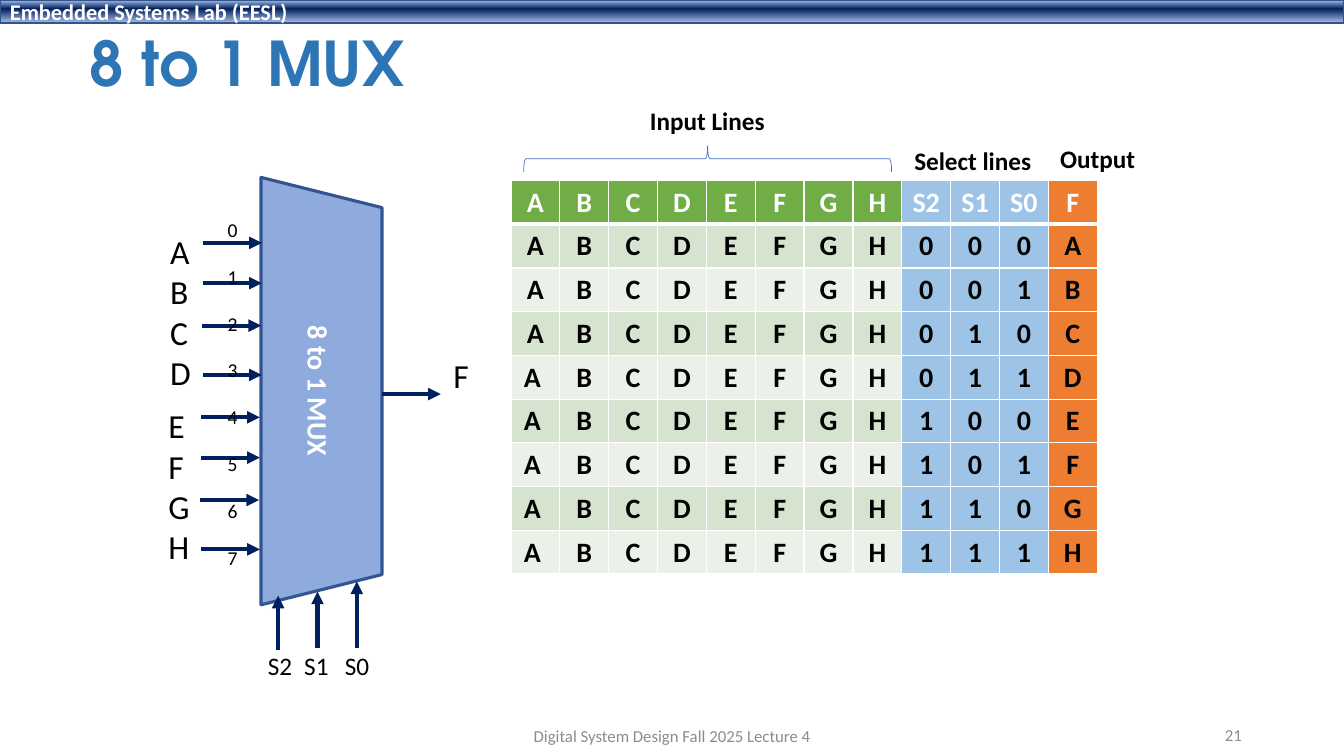
from pptx import Presentation
from pptx.dml.color import RGBColor
from pptx.enum.shapes import MSO_CONNECTOR as Connector, MSO_SHAPE as Shape
from pptx.enum.text import MSO_ANCHOR as Anchor, MSO_AUTO_SIZE as AutoSize, PP_ALIGN as Align
from pptx.oxml import parse_xml
from pptx.oxml.ns import nsdecls, qn
from pptx.util import Pt

# Content
HEADER = "Embedded Systems Lab (EESL)"
TITLE = "8 to 1 MUX"
FOOTER = "Digital System Design Fall 2025 Lecture 4"
PAGE_NUMBER = "21"
INPUTS = list("ABCDEFGH")
SELECTS = ["S2", "S1", "S0"]
OUTPUT = "F"

# Text, left, top, width, height
HEADINGS = [
    ("Input Lines", 457.2, 72, 97.2, 28.8),
    ("Select lines", 646, 100, 98.6, 28.8),
    ("Output", 750.2, 98.6, 68.4, 28.8),
]
# Arrow start points of the upper four inputs
INPUT_ARROWS = [(145, 173.5), (145, 202.3), (144.5, 232.6), (145, 267.8)]
ARROW_LENGTH = 42
LOWER_SHIFT = (-1.4, 124.6)
# Arrow x, start y, end y and label centre for each select line
SELECT_ARROWS = [(198.7, 464.4, 425.5, 200), (226.8, 463, 422.6, 226), (254.9, 463, 415.4, 255)]


class Theme:
    font, title_font = "Calibri", "TeX Gyre Adventor"
    black, white, gray = "000000", "FFFFFF", "8C8C8C"
    title, navy, edge = "2E75B6", "002060", "325491"
    mux, brace = "8FAADC", "4472C4"
    green, select, output = "70AD47", "9DC3E6", "ED7D31"
    bands = ("D5E3CF", "EBF1E9")
    bar_stops = ((0, "ABC0E4"), (38, "002060"), (100, "ACC1E5"))
    title_size, letter_size, table_size = 44, 24, 20
    label_size, header_size, digit_size, footer_size = 18, 16, 14, 12


deck = Presentation()
deck.slide_width, deck.slide_height = Pt(960), Pt(540)
page = deck.slides.add_slide(deck.slide_layouts[6])


def color(code):
    return RGBColor.from_string(code)


def write(frame, text, size, ink=Theme.black, bold=False, align=Align.LEFT, font=Theme.font):
    frame.text = text
    for para in frame.paragraphs:
        para.alignment = align
        for span in para.runs:
            span.font.name, span.font.size, span.font.bold = font, Pt(size), bold
            span.font.color.rgb = color(ink)


def add_text(text, left, top, width, height, size, fit=True, **style):
    box = page.shapes.add_textbox(Pt(left), Pt(top), Pt(width), Pt(height))
    frame = box.text_frame
    write(frame, text, size, **style)
    frame.word_wrap = False
    if fit:
        frame.auto_size = AutoSize.SHAPE_TO_FIT_TEXT
    else:
        frame.vertical_anchor = Anchor.MIDDLE
    return frame


def add_figure(kind, left, top, width, height, line, weight, fill=None):
    figure = page.shapes.add_shape(kind, Pt(left), Pt(top), Pt(width), Pt(height))
    figure.shadow.inherit = False
    figure.line.color.rgb, figure.line.width = color(line), Pt(weight)
    if fill:
        figure.fill.solid()
        figure.fill.fore_color.rgb = color(fill)
    else:
        figure.fill.background()
    figure.text_frame.vertical_anchor = Anchor.MIDDLE
    return figure


def add_arrow(x1, y1, x2, y2):
    arrow = page.shapes.add_connector(Connector.STRAIGHT, Pt(x1), Pt(y1), Pt(x2), Pt(y2))
    arrow.line.color.rgb, arrow.line.width = color(Theme.navy), Pt(3)
    arrow.line._get_or_add_ln().append(parse_xml(f'<a:tailEnd {nsdecls("a")} type="triangle"/>'))
    arrow._element.spPr.append(parse_xml(f'<a:effectLst {nsdecls("a")}/>'))


def set_borders(cell, bottom):
    weights = {"lnL": 1, "lnR": 1, "lnT": 1, "lnB": bottom}
    for place, (side, weight) in enumerate(weights.items()):
        border = parse_xml(
            f'<a:{side} {nsdecls("a")} w="{Pt(weight)}"><a:solidFill>'
            f'<a:srgbClr val="{Theme.white}"/></a:solidFill></a:{side}>')
        cell._tc.get_or_add_tcPr().insert(place, border)


# Header bar with a three-stop gradient
bar = add_figure(Shape.RECTANGLE, 0, 0, 960, 16.6, Theme.edge, 1, Theme.navy)
stops = "".join(
    f'<a:gs pos="{place * 1000}"><a:srgbClr val="{code}"/></a:gs>'
    for place, code in Theme.bar_stops)
properties = bar._element.spPr
properties.replace(properties.find(qn("a:solidFill")), parse_xml(
    f'<a:gradFill {nsdecls("a")} rotWithShape="1"><a:gsLst>{stops}</a:gsLst>'
    '<a:lin ang="5400000" scaled="0"/></a:gradFill>'))
write(bar.text_frame, HEADER, Theme.header_size, Theme.white, bold=True)

# Title and footer
title = add_text(TITLE, 56.9, 2.9, 240.5, 89.3, Theme.title_size, fit=False,
                 ink=Theme.title, bold=True, font=Theme.title_font)
title.paragraphs[0].line_spacing = 0.9
add_text(PAGE_NUMBER, 678.2, 510.5, 216, 28.8, Theme.footer_size, fit=False,
         ink=Theme.gray, align=Align.RIGHT)
add_text(FOOTER, 318.2, 511.2, 324, 28.8, Theme.footer_size, fit=False,
         ink=Theme.gray, align=Align.CENTER)

# Multiplexer body
mux = add_figure(Shape.TRAPEZOID, 77, 236.2, 305.3, 86.4, Theme.edge, 2.25, Theme.mux)
mux.rotation = 90
write(mux.text_frame, TITLE, Theme.table_size, Theme.white, bold=True, align=Align.CENTER)

# Input arrows and letters, four in each half
for half in range(2):
    shift_x, shift_y = (half * step for step in LOWER_SHIFT)
    for x, y in INPUT_ARROWS:
        add_arrow(x + shift_x, y + shift_y, x + shift_x + ARROW_LENGTH, y + shift_y)
    letters = "\n".join(INPUTS[half * 4:half * 4 + 4])
    add_text(letters, 114.5 + shift_x, 161.3 + shift_y, 29.5, 123.8, Theme.letter_size)

# Input numbers
numbers = add_text("\n".join(str(i) for i in range(len(INPUTS))),
                   155.5, 151.9, 21.6, 262.1, Theme.digit_size)
for para in numbers.paragraphs[:-1]:
    para.space_after = Pt(16.7)

# Output and select lines
add_arrow(272.9, 281.5, 272.9 + ARROW_LENGTH, 281.5)
add_text(OUTPUT, 316.8, 249.8, 25.9, 36, Theme.letter_size)
for name, (x, start, end, center) in zip(SELECTS, SELECT_ARROWS):
    add_arrow(x, start, x, end)
    add_text(name, center - 16, 460.8, 32, 28.8, Theme.label_size, align=Align.CENTER)

# Truth table
rows = [INPUTS + SELECTS + [OUTPUT]]
for number, name in enumerate(INPUTS):
    first = "A " if number >= 3 else "A"
    rows.append([first] + INPUTS[1:] + list(f"{number:03b}") + [name])
column_width, row_height = 34.9, 31.25
table = page.shapes.add_table(
    len(rows), len(rows[0]), Pt(365), Pt(128.9),
    Pt(column_width * len(rows[0])), Pt(row_height * len(rows))).table
for column in table.columns:
    column.width = Pt(column_width)
for r, values in enumerate(rows):
    table.rows[r].height = Pt(row_height)
    input_fill = Theme.bands[(r - 1) % 2] if r else Theme.green
    fills = [input_fill] * len(INPUTS) + [Theme.select] * len(SELECTS) + [Theme.output]
    for c, (value, fill) in enumerate(zip(values, fills)):
        cell = table.cell(r, c)
        cell.fill.solid()
        cell.fill.fore_color.rgb = color(fill)
        write(cell.text_frame, value, Theme.table_size, Theme.black if r else Theme.white,
              bold=True, align=Align.CENTER)
        set_borders(cell, bottom=1 if r else 3)

# Table headings and brace
for text, left, top, width, height in HEADINGS:
    add_text(text, left, top, width, height, Theme.label_size, bold=True)
brace = add_figure(Shape.RIGHT_BRACE, 496.1, -18, 18.7, 262.8, Theme.brace, 0.5)
brace.rotation = 270

deck.save("out.pptx")
